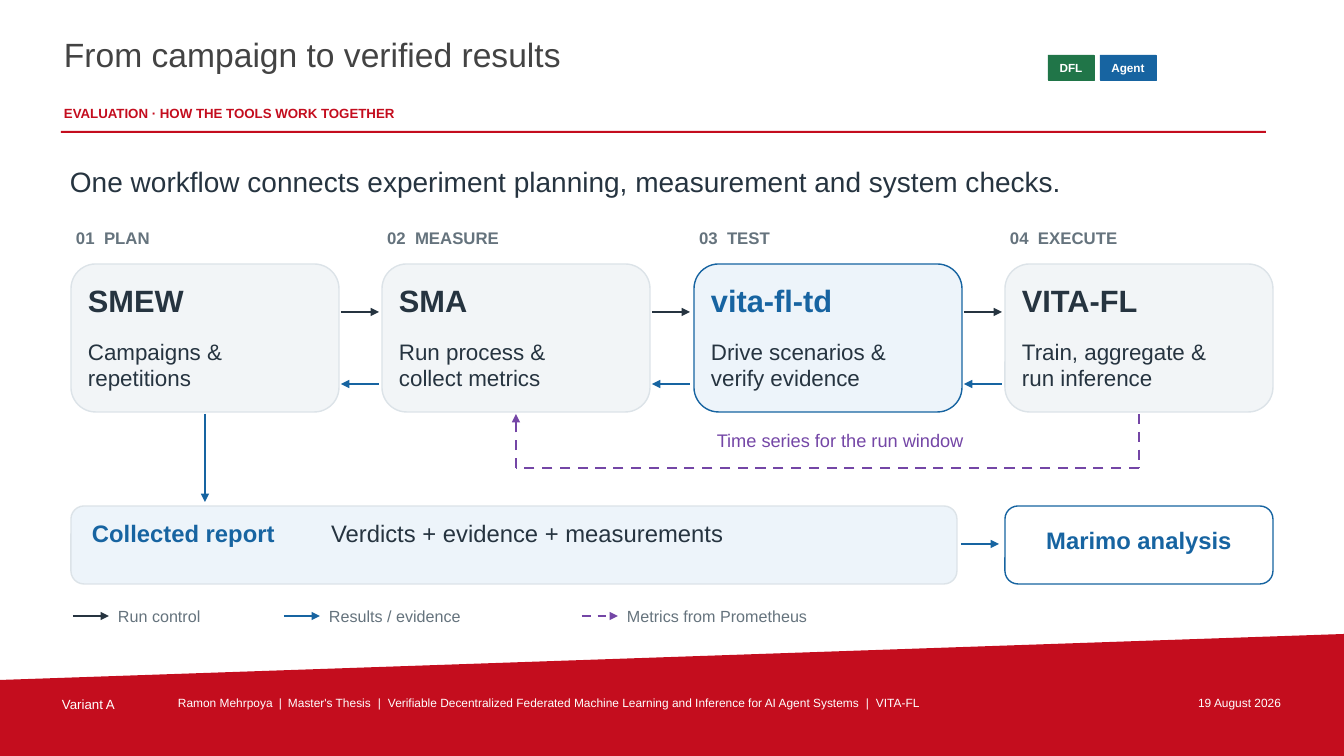
from lxml.etree import SubElement
from pptx import Presentation
from pptx.dml.color import RGBColor
from pptx.enum.dml import MSO_LINE
from pptx.enum.shapes import MSO_CONNECTOR, MSO_SHAPE
from pptx.enum.text import MSO_ANCHOR, MSO_AUTO_SIZE, PP_ALIGN
from pptx.oxml.ns import qn
from pptx.util import Pt

RED, INK, BLUE, GREEN = "C40D1E", "263440", "1764A1", "207548"
GREY, PURPLE, WHITE, EDGE = "65737D", "7446A6", "FFFFFF", "DCE3E8"
PALE, TINT = "F2F5F7", "EDF4FA"
LEFT, MID, RIGHT = PP_ALIGN.LEFT, PP_ALIGN.CENTER, PP_ALIGN.RIGHT
TOP, CENTER = MSO_ANCHOR.TOP, MSO_ANCHOR.MIDDLE

TITLE = "From campaign to verified results"
TAGS = [("DFL", 1048, 46, GREEN), ("Agent", 1100, 56, BLUE)]
STEPS = [
    ("01\tPLAN", "SMEW", "Campaigns &\nrepetitions", PALE, EDGE, INK),
    ("02\tMEASURE", "SMA", "Run process &\ncollect metrics", PALE, EDGE, INK),
    ("03\tTEST", "vita-fl-td", "Drive scenarios &\nverify evidence", TINT, BLUE, BLUE),
    ("04\tEXECUTE", "VITA-FL", "Train, aggregate &\nrun inference", PALE, EDGE, INK),
]
LEGEND = [
    ("Run control", 73, 163, INK, False),
    ("Results / evidence", 284, 249, BLUE, False),
    ("Metrics from Prometheus", 582, 345, PURPLE, True),
]
HEAD = [
    ("EVALUATION · HOW THE TOOLS WORK TOGETHER", (62, 103, 978, 22), 9.5, RED, True, LEFT),
    ("Variant A", (60, 694, 111, 22), 9.5, WHITE, False, LEFT),
    ("19 August 2026", (1129, 694, 154, 22), 8.5, WHITE, False, RIGHT),
]
FOOT = ("Ramon Mehrpoya\t|\tMaster's Thesis\t|\tVerifiable Decentralized Federated "
        "Machine Learning and Inference for AI Agent Systems\t|\tVITA-FL")
STOPS = [101, 110, 200, 210, 688, 698]
BODY = [
    ("One workflow connects experiment planning, measurement and system checks.",
     (70, 153, 1205, 57), 20, INK, False, LEFT),
    ("Time series for the run window", (609, 425, 462, 31), 13, PURPLE, False, MID),
    ("Collected report", (92, 517, 232, 31), 17, BLUE, True, LEFT),
    ("Verdicts + evidence + measurements", (331, 517, 600, 31), 17, INK, False, LEFT),
    ("Marimo analysis", (1020, 522, 238, 36), 17, BLUE, True, MID),
]
CARD_Y, CARD_W, CARD_H = 264, 268, 148
LOW_Y, LOW_H, LOOP_Y = 506, 78, 468

PX = 914400 / 100.8


def emu(*vals):
    return [round(v * PX) for v in vals]


def color(code):
    return RGBColor.from_string(code)


def write(shape, text, size, ink, bold=False, align=LEFT, anchor=CENTER, pad=0, stops=()):
    frame = shape.text_frame
    inset = round(pad * PX)
    look = {"word_wrap": True, "auto_size": MSO_AUTO_SIZE.NONE, "vertical_anchor": anchor,
            "margin_left": inset, "margin_right": inset,
            "margin_top": inset, "margin_bottom": inset}
    for key, val in look.items():
        setattr(frame, key, val)
    para = frame.paragraphs[0]
    para.text = text
    para.alignment = align
    if stops:
        tabs = SubElement(para._p.get_or_add_pPr(), qn("a:tabLst"))
        for stop in stops:
            SubElement(tabs, qn("a:tab"), pos=str(emu(stop)[0]), algn="l")
    for run in para.runs:
        for key, val in {"name": "Arial", "size": Pt(size), "bold": bold}.items():
            setattr(run.font, key, val)
        run.font.color.rgb = color(ink)


def label(box, *args, **opts):
    write(slide.shapes.add_textbox(*emu(*box)), *args, **opts)


def paint(shape, fill, edge=None, width=1):
    shape.shadow.inherit = False
    shape.fill.solid()
    shape.fill.fore_color.rgb = color(fill)
    if edge:
        shape.line.color.rgb = color(edge)
        shape.line.width = Pt(width)
    else:
        shape.line.fill.background()
    return shape


def block(kind, box, *args):
    return paint(slide.shapes.add_shape(kind, *emu(*box)), *args)


def arrow(ends, ink, width=1.8, dash=False, head=True):
    link = slide.shapes.add_connector(MSO_CONNECTOR.STRAIGHT, *emu(*ends))
    link.line.color.rgb = color(ink)
    link.line.width = Pt(width)
    if dash:
        link.line.dash_style = MSO_LINE.DASH
    if head:
        SubElement(link.line._get_or_add_ln(), qn("a:tailEnd"), type="triangle")
    SubElement(link._element.spPr, qn("a:effectLst"))


deck = Presentation()
deck.slide_width, deck.slide_height = emu(1344, 756)
slide = deck.slides.add_slide(deck.slide_layouts[5])

band = slide.shapes.build_freeform(0, 680, scale=PX)
band.add_line_segments([(1344, 634), (1344, 756), (0, 756)], close=True)
paint(band.convert_to_shape(), RED)

title = slide.shapes.title
for key, val in zip(("left", "top", "width", "height"), emu(62, 32, 973, 62)):
    setattr(title, key, val)
write(title, TITLE, 24, "434343", anchor=TOP, pad=2)
for text, box, *form in HEAD:
    label(box, text, *form, anchor=TOP, pad=2)
label((176, 694, 942, 22), FOOT, 8.5, WHITE, anchor=TOP, pad=2, stops=STOPS)
block(MSO_SHAPE.RECTANGLE, (61, 131, 1205, 2), RED)
for text, x, wide, fill in TAGS:
    tag = block(MSO_SHAPE.RECTANGLE, (x, 55, wide, 25), fill, fill, 0.55)
    write(tag, text, 8.4, WHITE, True, MID)

cols = [71 + i * 623 // 2 for i in range(len(STEPS))]
mids = [x + CARD_W // 2 for x in cols]
for x, (step, name, job, fill, edge, ink) in zip(cols, STEPS):
    label((x + 5, 223, 258, 30), step, 12, GREY, True, stops=[28])
    block(MSO_SHAPE.ROUNDED_RECTANGLE, (x, CARD_Y, CARD_W, CARD_H), fill, edge)
    label((x + 17, 279, 234, 43), name, 22, ink, True)
    label((x + 17, 335, 234, 59), job, 16, INK)
for x in cols[:-1]:
    near, far = x + CARD_W + 2, x + CARD_W + 40
    arrow((near, 312, far, 312), INK)
    arrow((far, 384, near, 384), BLUE)

base = CARD_Y + CARD_H + 2
arrow((mids[3], base, mids[3], LOOP_Y), PURPLE, dash=True, head=False)
arrow((mids[3], LOOP_Y, mids[1], LOOP_Y), PURPLE, dash=True, head=False)
arrow((mids[1], LOOP_Y, mids[1], base), PURPLE, dash=True)
arrow((mids[0], base, mids[0], LOW_Y - 4), BLUE)

block(MSO_SHAPE.ROUNDED_RECTANGLE, (cols[0], LOW_Y, 886, LOW_H), TINT, EDGE)
block(MSO_SHAPE.ROUNDED_RECTANGLE, (cols[3], LOW_Y, CARD_W, LOW_H), WHITE, BLUE)
arrow((961, 544, 999, 544), BLUE)
for text, box, *form in BODY:
    label(box, text, *form)

for text, x, wide, ink, dash in LEGEND:
    arrow((x, 616, x + 36, 616), ink, 1.6, dash)
    label((x + 45, 602, wide, 28), text, 11.5, GREY)

deck.save("out.pptx")
